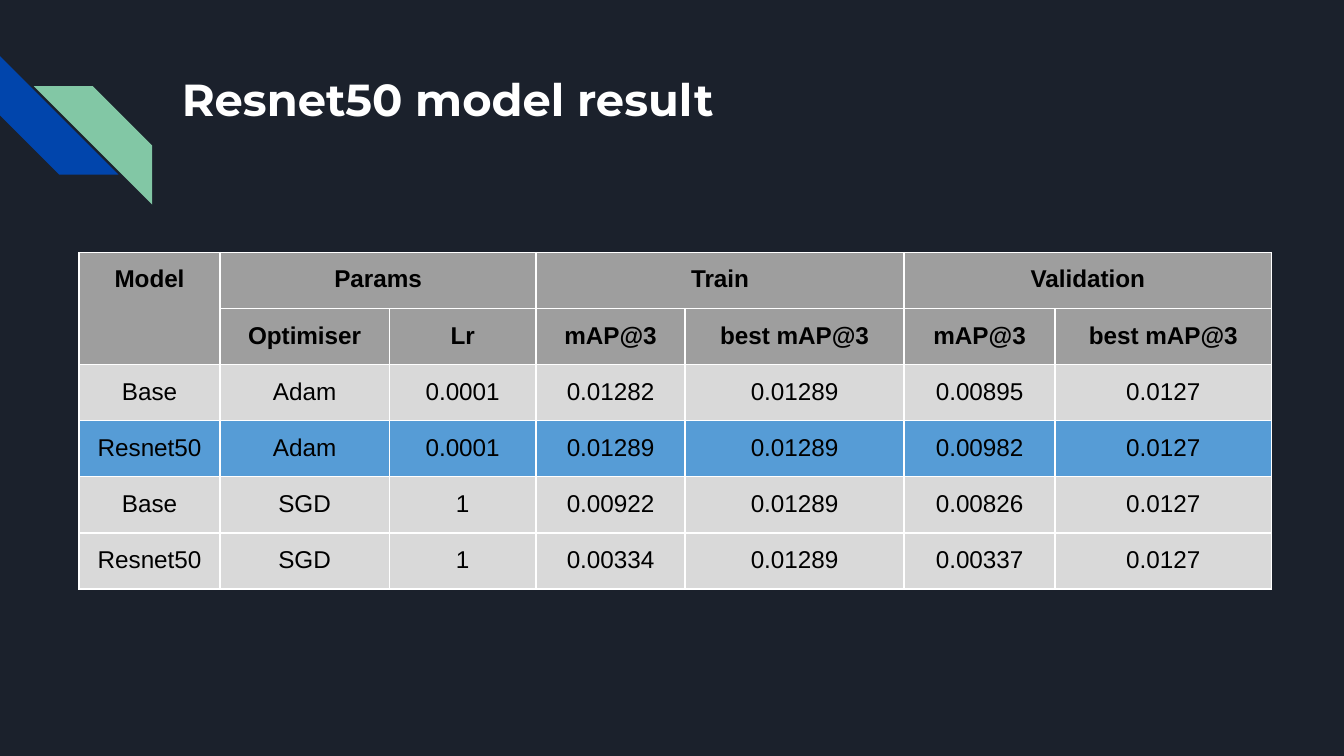
from dataclasses import dataclass
from typing import Any

from lxml import etree
from pptx import Presentation
from pptx import util as u
from pptx.dml import color
from pptx.enum import shapes, text
from pptx.oxml import ns


@dataclass(frozen=True)
class Theme:
    background: str = "1B212C"
    blue: str = "0145AC"
    green: str = "82C7A5"
    white: str = "FFFFFF"
    black: str = "000000"
    header: str = "9E9E9E"
    body: str = "D9D9D9"
    highlight: str = "569CD6"
    title_font: str = "Montserrat"
    table_font: str = "Arial"
    title_size: float = 24
    table_size: float = 13
    border: float = 0.75
    inset: float = 7.2


@dataclass(frozen=True)
class Stripe:
    left: float
    top: float
    rotation: float
    fill: str


@dataclass(frozen=True)
class Row:
    values: tuple[str, ...]
    fill: str
    bold: bool = False


THEME = Theme()
STRIPE_SIZE = 63.4
STRIPES = (
    Stripe(0, 30.1, 270, THEME.blue),
    Stripe(18.1, 46.2, 90, THEME.green),
)
COLUMN_WIDTHS = (75.6, 90.6, 78.7, 79.8, 117.4, 80.9, 115.9)
ROW_HEIGHT = 30
ROWS = (
    Row(("Model", "Params", "", "Train", "", "Validation", ""), THEME.header, True),
    Row(("", "Optimiser", "Lr", "mAP@3", "best mAP@3", "mAP@3", "best mAP@3"), THEME.header, True),
    Row(("Base", "Adam", "0.0001", "0.01282", "0.01289", "0.00895", "0.0127"), THEME.body),
    Row(("Resnet50", "Adam", "0.0001", "0.01289", "0.01289", "0.00982", "0.0127"), THEME.highlight),
    Row(("Base", "SGD", "1", "0.00922", "0.01289", "0.00826", "0.0127"), THEME.body),
    Row(("Resnet50", "SGD", "1", "0.00334", "0.01289", "0.00337", "0.0127"), THEME.body),
)
MERGES = (((0, 0), (1, 0)), *(((0, column), (0, column + 1)) for column in (1, 3, 5)))


def rgb(value: str) -> color.RGBColor:
    return color.RGBColor.from_string(value)


def apply(target: Any, values: dict[str, Any]) -> None:
    for name, value in values.items():
        setattr(target, name, value)


def set_insets(target: Any) -> None:
    apply(target, {f"margin_{side}": u.Pt(THEME.inset) for side in ("left", "right", "top", "bottom")})


def set_font(font: Any, name: str, size: float, fill: str, bold: bool) -> None:
    apply(font, {"name": name, "size": u.Pt(size), "bold": bold})
    font.color.rgb = rgb(fill)


def draw_stripe(slide: Any, stripe: Stripe) -> None:
    shape = slide.shapes.add_shape(
        shapes.MSO_SHAPE.DIAGONAL_STRIPE,
        u.Pt(stripe.left), u.Pt(stripe.top), u.Pt(STRIPE_SIZE), u.Pt(STRIPE_SIZE),
    )
    apply(shape, {"rotation": stripe.rotation})
    shape.shadow.inherit = False
    shape.fill.solid()
    shape.fill.fore_color.rgb = rgb(stripe.fill)
    shape.line.fill.background()


def draw_title(slide: Any, title: str) -> None:
    shape = slide.shapes.add_textbox(u.Pt(90.3), u.Pt(31), u.Pt(554.4), u.Pt(72))
    frame = shape.text_frame
    apply(frame, {"word_wrap": True, "vertical_anchor": text.MSO_ANCHOR.TOP})
    set_insets(frame)
    paragraph = frame.paragraphs[0]
    paragraph.text = title
    set_font(paragraph.font, THEME.title_font, THEME.title_size, THEME.white, True)


def draw_borders(cell: Any) -> None:
    properties = cell._tc.get_or_add_tcPr()
    for side in ("lnL", "lnR", "lnT", "lnB"):
        line = etree.SubElement(properties, ns.qn(f"a:{side}"), w=str(u.Pt(THEME.border)))
        fill = etree.SubElement(line, ns.qn("a:solidFill"))
        etree.SubElement(fill, ns.qn("a:srgbClr"), val=THEME.white)


def draw_cell(cell: Any, value: str, row: Row) -> None:
    draw_borders(cell)
    cell.fill.solid()
    cell.fill.fore_color.rgb = rgb(row.fill)
    set_insets(cell)
    cell.vertical_anchor = text.MSO_ANCHOR.TOP
    paragraph = cell.text_frame.paragraphs[0]
    apply(paragraph, {"text": value, "alignment": text.PP_ALIGN.CENTER})
    set_font(paragraph.font, THEME.table_font, THEME.table_size, THEME.black, row.bold)


def draw_table(slide: Any) -> None:
    table = slide.shapes.add_table(
        len(ROWS), len(COLUMN_WIDTHS), u.Pt(42.3), u.Pt(135.3),
        u.Pt(sum(COLUMN_WIDTHS)), u.Pt(ROW_HEIGHT * len(ROWS)),
    ).table
    apply(table, {"first_row": False, "horz_banding": False})
    for column, width in zip(table.columns, COLUMN_WIDTHS):
        column.width = u.Pt(width)
    for table_row, row in zip(table.rows, ROWS):
        table_row.height = u.Pt(ROW_HEIGHT)
        for cell, value in zip(table_row.cells, row.values):
            draw_cell(cell, value, row)
    for first, last in MERGES:
        table.cell(*first).merge(table.cell(*last))


def main() -> None:
    presentation = Presentation()
    apply(presentation, {"slide_width": u.Pt(720), "slide_height": u.Pt(405)})
    slide = presentation.slides.add_slide(presentation.slide_layouts[6])
    slide.background.fill.solid()
    slide.background.fill.fore_color.rgb = rgb(THEME.background)
    for stripe in STRIPES:
        draw_stripe(slide, stripe)
    draw_title(slide, "Resnet50 model result")
    draw_table(slide)
    presentation.save("out.pptx")


if __name__ == "__main__":
    main()
